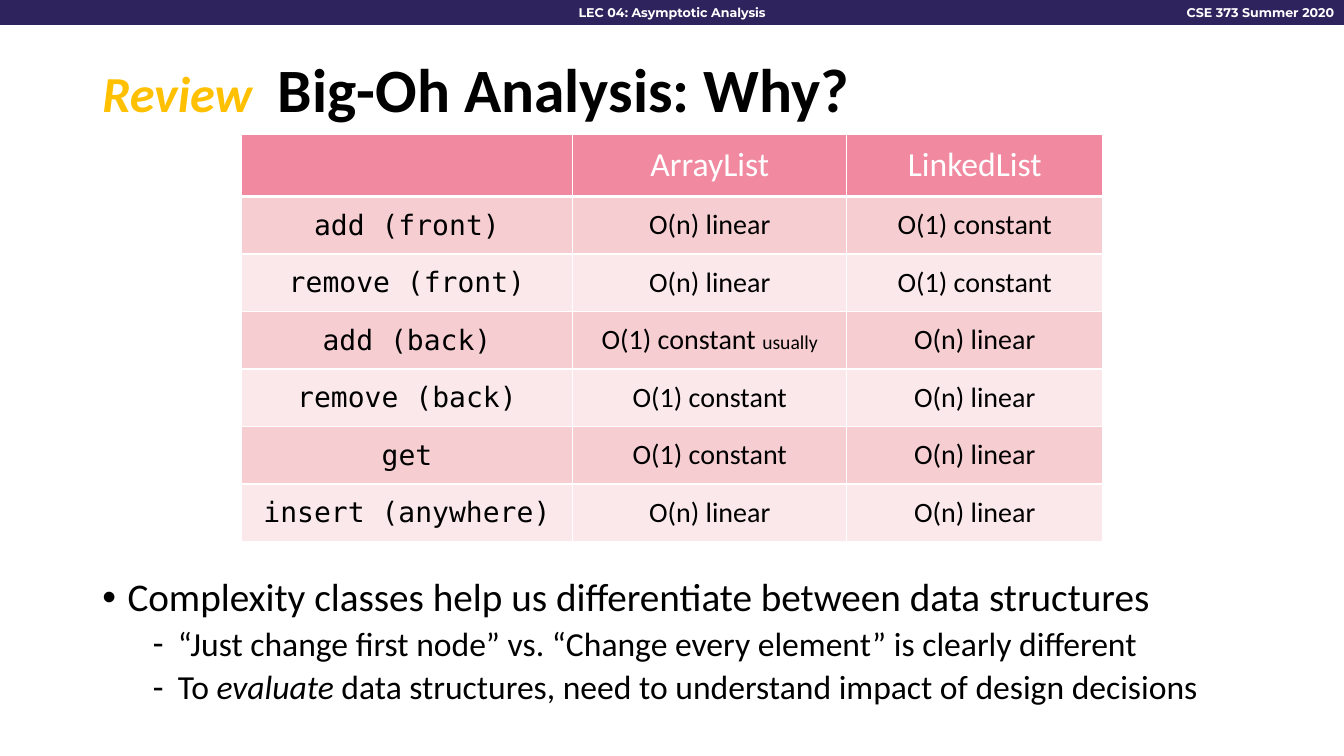
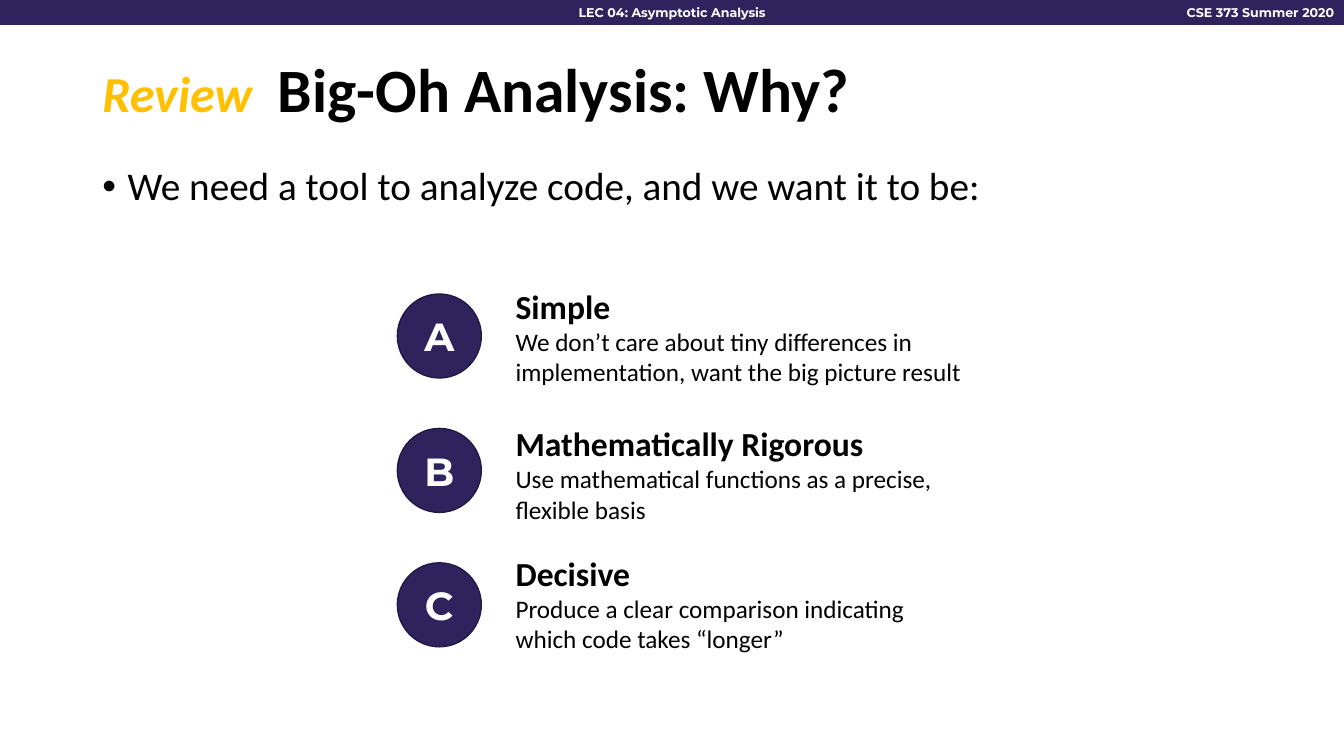
import lxml.etree
import pptx
import pptx.dml.color
import pptx.enum.shapes
import pptx.enum.text
import pptx.oxml.ns
import pptx.util

# Colours
PURPLE = pptx.dml.color.RGBColor(0x2E, 0x23, 0x5D)
DARK_PURPLE = pptx.dml.color.RGBColor(0x22, 0x1A, 0x45)
GOLD = pptx.dml.color.RGBColor(0xFF, 0xC0, 0x00)
PINK = pptx.dml.color.RGBColor(0xF1, 0x8A, 0xA0)
LIGHT_PINK = pptx.dml.color.RGBColor(0xF6, 0xCE, 0xD2)
PALE_PINK = pptx.dml.color.RGBColor(0xFB, 0xE8, 0xEA)
BLACK = pptx.dml.color.RGBColor(0x00, 0x00, 0x00)
WHITE = pptx.dml.color.RGBColor(0xFF, 0xFF, 0xFF)

# Fonts
TEXT_FONT = "Calibri"
CODE_FONT = "DejaVu Sans Mono"
LABEL_FONT = "Montserrat"

# The slide is a grid of 160 columns by 90 rows of equal squares
COLUMNS, ROWS = 160, 90
UNIT = pptx.util.Inches(7.5) // ROWS

LEFT = pptx.enum.text.PP_ALIGN.LEFT
CENTER = pptx.enum.text.PP_ALIGN.CENTER
RIGHT = pptx.enum.text.PP_ALIGN.RIGHT
TOP = pptx.enum.text.MSO_ANCHOR.TOP
MIDDLE = pptx.enum.text.MSO_ANCHOR.MIDDLE


def grid(*lengths):
    return [pptx.util.Emu(round(length * UNIT)) for length in lengths]


def add_element(parent, tag, **attributes):
    return lxml.etree.SubElement(parent, pptx.oxml.ns.qn(tag), attributes)


class Deck:
    """Holds the presentation, its style and the current slide."""

    # Bullet level: character, indent in columns, size, space before
    LEVELS = (("•", 3, 28, 10), ("-", 9, 24, 5))
    HANGING = 3

    def __init__(self):
        self.presentation = pptx.Presentation()
        (self.presentation.slide_width,
         self.presentation.slide_height) = grid(COLUMNS, ROWS)
        self.slide = None

    # Text
    def style(self, font, size=None, color=None, name=None, bold=None, italic=None):
        if size:
            font.size = pptx.util.Pt(size)
        if color is not None:
            font.color.rgb = color
        if name:
            font.name = name
        if bold is not None:
            font.bold = bold
        if italic is not None:
            font.italic = italic

    def fill_paragraph(self, paragraph, runs, size, color=BLACK, name=TEXT_FONT,
                       bold=False, align=LEFT):
        """Fill a paragraph; a run is a string or (string, font changes)."""
        paragraph.alignment = align
        self.style(paragraph.font, size, color, name, bold)
        for item in [runs] if isinstance(runs, str) else runs:
            text, changes = (item, {}) if isinstance(item, str) else item
            run = paragraph.add_run()
            run.text = text
            self.style(run.font, **changes)

    def text_frame(self, left, top, width, height, anchor=TOP):
        frame = self.slide.shapes.add_textbox(*grid(left, top, width, height)).text_frame
        frame.word_wrap = True
        frame.vertical_anchor = anchor
        return frame

    def paragraphs(self, frame, items):
        """Pair each item with a paragraph, reusing the first one."""
        for index, item in enumerate(items):
            yield (frame.add_paragraph() if index else frame.paragraphs[0]), item

    # Shapes
    def shape(self, kind, left, top, width, height, fill, line):
        shape = self.slide.shapes.add_shape(kind, *grid(left, top, width, height))
        shape.shadow.inherit = False
        shape.fill.solid()
        shape.fill.fore_color.rgb = fill
        shape.line.color.rgb = line
        shape.line.width = pptx.util.Pt(1)
        return shape

    # Slide parts
    def new_slide(self, tag, title):
        self.slide = self.presentation.slides.add_slide(
            self.presentation.slide_layouts[6])
        self.header("LEC 04: Asymptotic Analysis", "CSE 373 Summer 2020")
        self.title(tag, title)

    def header(self, lecture, course):
        self.shape(pptx.enum.shapes.MSO_SHAPE.RECTANGLE,
                   0, 0, COLUMNS, 2.9, PURPLE, PURPLE)
        for text, left, width, align in ((course, 138.8, 21.2, RIGHT),
                                         (lecture, 39.4, 81.2, CENTER)):
            frame = self.text_frame(left, 0, width, 3)
            self.fill_paragraph(frame.paragraphs[0], text, 9, WHITE, LABEL_FONT,
                                True, align)

    def title(self, tag, title):
        paragraph = self.text_frame(11, 6, 138, 10, MIDDLE).paragraphs[0]
        tabs = add_element(paragraph._p.get_or_add_pPr(), "a:tabLst")
        add_element(tabs, "a:tab", pos=str(grid(20.9)[0]), algn="l")
        paragraph.line_spacing = 0.9
        tag_style = {"size": 36, "color": GOLD, "italic": True}
        self.fill_paragraph(paragraph, [(tag, tag_style), "\t" + title], 44, bold=True)

    def bullets(self, top, height, items):
        """Each item is (level, runs)."""
        frame = self.text_frame(11, top, 140, height)
        for paragraph, (level, runs) in self.paragraphs(frame, items):
            character, indent, size, space = self.LEVELS[level]
            properties = paragraph._p.get_or_add_pPr()
            properties.set("marL", str(grid(indent)[0]))
            properties.set("indent", str(grid(-self.HANGING)[0]))
            add_element(properties, "a:buFont", typeface="Arial")
            add_element(properties, "a:buChar", char=character)
            paragraph.level = level
            paragraph.line_spacing = 0.9
            if paragraph._p is not frame.paragraphs[0]._p:
                paragraph.space_before = pptx.util.Pt(space)
            self.fill_paragraph(paragraph, runs, size)

    def cell(self, cell, runs, fill, bottom_line=1, top_line=1, **font):
        properties = cell._tc.get_or_add_tcPr()
        sides = {"L": 1, "R": 1, "T": top_line, "B": bottom_line}
        for side, points in sides.items():
            line = add_element(properties, "a:ln" + side,
                               w=str(pptx.util.Pt(points)))
            color = add_element(line, "a:solidFill")
            add_element(color, "a:srgbClr", val=str(WHITE))
        cell.fill.solid()
        cell.fill.fore_color.rgb = fill
        cell.vertical_anchor = MIDDLE
        if runs:
            self.fill_paragraph(cell.text_frame.paragraphs[0], runs,
                                align=CENTER, **font)

    def table(self, left, top, widths, head_height, row_height, head, rows):
        height = head_height + row_height * len(rows)
        table = self.slide.shapes.add_table(
            len(rows) + 1, len(widths),
            *grid(left, top, sum(widths), height)).table
        for column, width in zip(table.columns, grid(*widths)):
            column.width = width
        heights = [head_height] + [row_height] * len(rows)
        for row, height in zip(table.rows, grid(*heights)):
            row.height = height
        for index, text in enumerate(head):
            self.cell(table.cell(0, index), text, PINK, bottom_line=3,
                      size=24, color=WHITE)
        for number, row in enumerate(rows, 1):
            fill = LIGHT_PINK if number % 2 else PALE_PINK
            for index, runs in enumerate(row):
                self.cell(table.cell(number, index), runs, fill,
                          top_line=3 if number == 1 else 1, size=20,
                          name=TEXT_FONT if index else CODE_FONT)

    def badge(self, left, top, size, letter):
        circle = self.shape(pptx.enum.shapes.MSO_SHAPE.OVAL,
                            left, top, size, size, PURPLE, DARK_PURPLE)
        circle.text_frame.vertical_anchor = MIDDLE
        self.fill_paragraph(circle.text_frame.paragraphs[0], letter, 28, WHITE,
                            LABEL_FONT, True, CENTER)

    def description(self, left, top, heading, detail):
        frame = self.text_frame(left, top, 56, 13.3)
        items = ((heading, 24, True), (detail, 18, False))
        for paragraph, (text, size, bold) in self.paragraphs(frame, items):
            self.fill_paragraph(paragraph, text, size, bold=bold)


def comparison_slide(deck):
    deck.new_slide("Review", "Big-Oh Analysis: Why?")
    linear, constant = "O(n) linear", "O(1) constant"
    deck.table(28.7, 16, (39.5, 32.6, 30.5), 7.4, 6.85,
               ("", "ArrayList", "LinkedList"),
               (("add (front)", linear, constant),
                ("remove (front)", linear, constant),
                ("add (back)", [constant + " ", ("usually", {"size": 14})], linear),
                ("remove (back)", constant, linear),
                ("get", constant, linear),
                ("insert (anywhere)", linear, linear)))
    deck.bullets(68.2, 21.8, (
        (0, "Complexity classes help us differentiate between data structures"),
        (1, "“Just change first node” vs. “Change every element” is clearly different"),
        (1, ["To ", ("evaluate", {"italic": True}),
             " data structures, need to understand impact of design decisions"])))


def goals_slide(deck):
    deck.new_slide("Review", "Big-Oh Analysis: Why?")
    deck.bullets(19.3, 13.3, (
        (0, "We need a tool to analyze code, and we want it to be:"),))
    goals = (
        ("A", 33.4, "Simple", "We don’t care about tiny differences in "
         "implementation, want the big picture result"),
        ("B", 49.8, "Mathematically Rigorous",
         "Use mathematical functions as a precise, flexible basis"),
        ("C", 65.2, "Decisive",
         "Produce a clear comparison indicating which code takes “longer”"))
    for index, (letter, text_top, heading, detail) in enumerate(goals):
        deck.description(60.2, text_top, heading, detail)
        deck.badge(47.3, 35 + 16 * index, 10, letter)


def main():
    deck = Deck()
    comparison_slide(deck)
    goals_slide(deck)
    deck.presentation.save("out.pptx")


if __name__ == "__main__":
    main()
